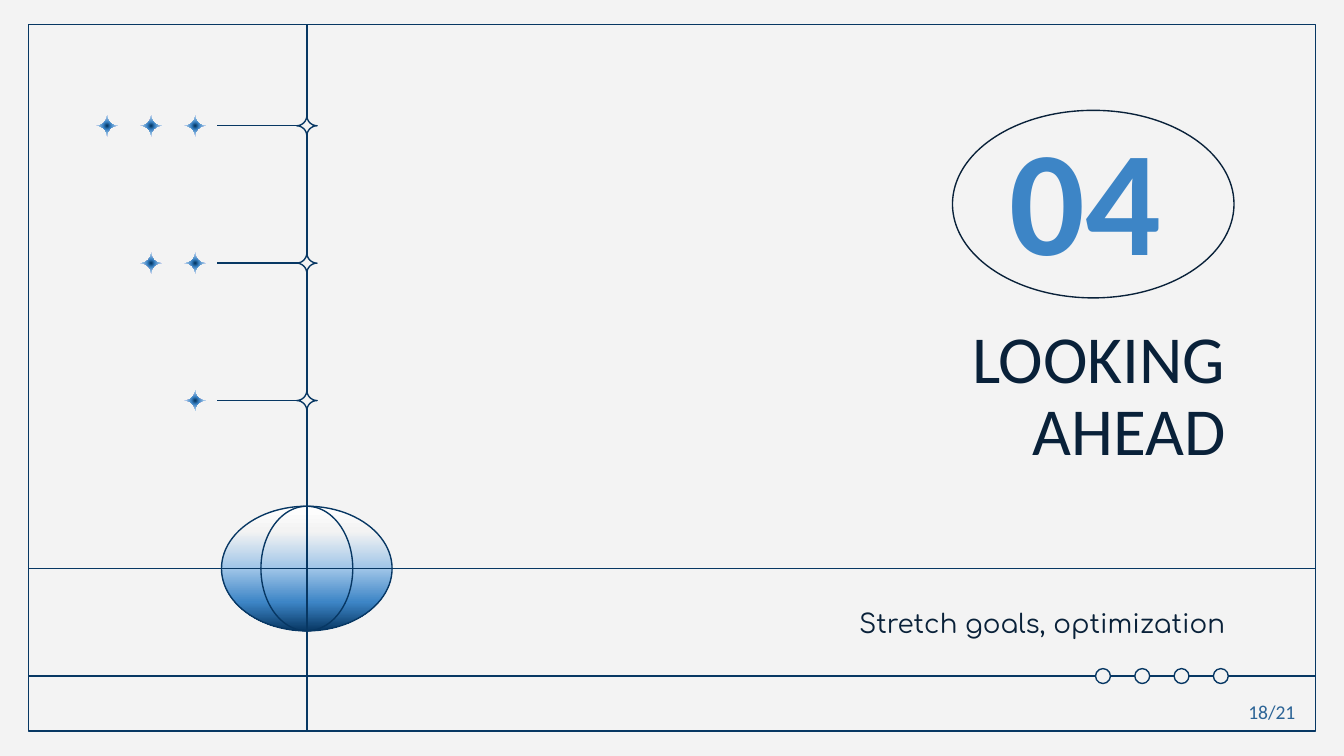
import pptx
import pptx.util
import pptx.dml.color
import pptx.enum.shapes
import pptx.enum.text
import pptx.oxml

Pt = pptx.util.Pt
SHAPE = pptx.enum.shapes.MSO_SHAPE
ALIGN = pptx.enum.text.PP_ALIGN
ANCHOR = pptx.enum.text.MSO_ANCHOR
NS = 'xmlns:a="http://schemas.openxmlformats.org/drawingml/2006/main"'

# Content
TITLE = ["LOOKING", "AHEAD"]
NUMBER = "04"
SUBTITLE = "Stretch goals, optimization"
PAGE = "18/21"

C = {"bg": "F3F3F3", "line": "073763", "dark": "092139", "blue": "3D85C6",
     "light": "9FC5E8", "white": "FFFFFF", "page": "2C6496"}
STAR_STOPS = [(0, "line"), (25, "blue"), (60, "light"), (100, "bg")]
GLOBE_STOPS = [(0, "white"), (20, "bg"), (50, "light"), (77, "blue"), (100, "line")]
RADIAL = ('<a:path path="circle"><a:fillToRect l="50000" t="50000" '
          'r="50000" b="50000"/></a:path>')
LINEAR = '<a:lin ang="5400000" scaled="0"/>'

# Layout, in points
LEFT, TOP, RIGHT, BOTTOM = 15.1, 13, 704.9, 391.7
AXIS_X, HORIZON_Y, FOOT_Y = 164.4, 304.6, 362.2
ROW_Y, ROW_STEP, STAR_COUNTS = 67.4, 73.6, [3, 2, 1]
STAR_X, STAR_STEP, STAR_R = 104.6, 23.6, 5.5
GLOBE_W, MERIDIAN_W, GLOBE_H = 91.4, 49.2, 66.8
DOT_X, DOT_STEP, DOT_D = 590.9, 21.05, 8

prs = pptx.Presentation()
prs.slide_width, prs.slide_height = Pt(720), Pt(405)
s = prs.slides.add_slide(prs.slide_layouts[0])


def rgb(name):
    return pptx.dml.color.RGBColor.from_string(C[name])


s.background.fill.solid()
s.background.fill.fore_color.rgb = rgb("bg")


def style(sp, fill=None, line="line"):
    sp.shadow.inherit = False
    if fill:
        sp.fill.solid()
        sp.fill.fore_color.rgb = rgb(fill)
    else:
        sp.fill.background()
    if line:
        sp.line.color.rgb = rgb(line)
        sp.line.width = Pt(0.75)
    else:
        sp.line.fill.background()
    return sp


def gradient(sp, stops, direction):
    gs = "".join(f'<a:gs pos="{pos * 1000}"><a:srgbClr val="{C[name]}"/></a:gs>'
                 for pos, name in stops)
    xml = f'<a:gradFill {NS} rotWithShape="1"><a:gsLst>{gs}</a:gsLst>{direction}</a:gradFill>'
    sp_pr = sp._element.spPr
    sp_pr.replace(sp_pr.find(pptx.oxml.ns.qn("a:noFill")), pptx.oxml.parse_xml(xml))


def preset(kind, x, y, w, h, fill=None, line="line"):
    return style(s.shapes.add_shape(kind, Pt(x), Pt(y), Pt(w), Pt(h)), fill, line)


def oval(cx, cy, w, h, fill=None, line="line"):
    return preset(SHAPE.OVAL, cx - w / 2, cy - h / 2, w, h, fill, line)


def rule(x1, y1, x2, y2):
    ln = s.shapes.add_connector(pptx.enum.shapes.MSO_CONNECTOR.STRAIGHT,
                                Pt(x1), Pt(y1), Pt(x2), Pt(y2))
    ln.line.color.rgb = rgb("line")
    ln.line.width = Pt(0.75)
    ln._element.spPr.append(pptx.oxml.parse_xml(f"<a:effectLst {NS}/>"))


def star(cx, cy, fill=None, line=None):
    """Four-pointed star whose sides are inward Bezier curves."""
    pts = []
    turn = [(0, -1), (1, 0), (0, 1), (-1, 0)]
    for (ax, ay), (bx, by) in zip(turn, turn[1:] + turn[:1]):
        for i in range(8):
            t = i / 8
            a = (1 - t) ** 3 + 1.35 * t * (1 - t) ** 2
            b = t ** 3 + 1.35 * t ** 2 * (1 - t)
            pts.append((Pt(cx + STAR_R * (a * ax + b * bx)),
                        Pt(cy + STAR_R * (a * ay + b * by))))
    fb = s.shapes.build_freeform(*pts[0])
    fb.add_line_segments(pts[1:], close=True)
    return style(fb.convert_to_shape(), fill, line)


def write(sp, box, lines, size, color, font="Calibri", align=ALIGN.RIGHT,
          anchor=ANCHOR.TOP, bold=False, spacing=1.0, inset=(7.2, 7.2), wrap=True):
    sp.left, sp.top, sp.width, sp.height = [Pt(v) for v in box]
    tf = sp.text_frame
    tf.word_wrap = wrap
    tf.auto_size = pptx.enum.text.MSO_AUTO_SIZE.NONE
    tf.vertical_anchor = anchor
    tf.margin_left = tf.margin_right = Pt(inset[0])
    tf.margin_top = tf.margin_bottom = Pt(inset[1])
    p = tf.paragraphs[0]
    p.alignment, p.line_spacing, p.space_before = align, spacing, Pt(0)
    for i, text in enumerate(lines):
        if i:
            p.add_line_break()
        r = p.add_run()
        r.text = text
        r.font.name, r.font.size, r.font.bold = font, Pt(size), bold
        r.font.color.rgb = rgb(color)


def text_box():
    return s.shapes.add_textbox(0, 0, 0, 0)


# Frame and axis
preset(SHAPE.RECTANGLE, LEFT, TOP, RIGHT - LEFT, BOTTOM - TOP)
rule(AXIS_X, TOP, AXIS_X, BOTTOM)

# Rows of stars
for row, count in enumerate(STAR_COUNTS):
    y = ROW_Y + row * ROW_STEP
    rule(116.4, y, 161.8, y)
    star(AXIS_X, y, "bg", "line")
    for i in range(count):
        gradient(star(STAR_X - i * STAR_STEP, y), STAR_STOPS, RADIAL)

# Section number, title and subtitle
preset(SHAPE.OVAL, 510.3, 59.1, 150.8, 100.5, line="dark")
write(text_box(), (513.4, 65.5, 136.1, 78.5), [NUMBER], 80, "blue",
      align=ALIGN.CENTER, anchor=ANCHOR.MIDDLE, bold=True)
write(s.shapes.title, (320.4, 167, 343.4, 106.6), TITLE, 36, "dark", spacing=0.9)
write(s.placeholders[1], (320.4, 318.2, 343.4, 30.2), [SUBTITLE], 14, "dark",
      font="Comfortaa")

# Horizon, footer line and dots
for y in (HORIZON_Y, FOOT_Y):
    rule(RIGHT, y, LEFT, y)
for i in range(4):
    oval(DOT_X + i * DOT_STEP, FOOT_Y, DOT_D, DOT_D, "bg")

# Globe
gradient(oval(AXIS_X, HORIZON_Y, GLOBE_W, GLOBE_H, line=None), GLOBE_STOPS, LINEAR)
for w in (GLOBE_W, MERIDIAN_W):
    oval(AXIS_X, HORIZON_Y, w, GLOBE_H)
rule(AXIS_X - GLOBE_W / 2, HORIZON_Y, AXIS_X + GLOBE_W / 2, HORIZON_Y)
rule(AXIS_X, HORIZON_Y + GLOBE_H / 2, AXIS_X, HORIZON_Y - GLOBE_H / 2)

# Page number
write(text_box(), (661.7, 371.5, 42.5, 20.2), [PAGE], 10.5, "page",
      align=ALIGN.LEFT, inset=(7.2, 3.6), wrap=False)

prs.save("out.pptx")
